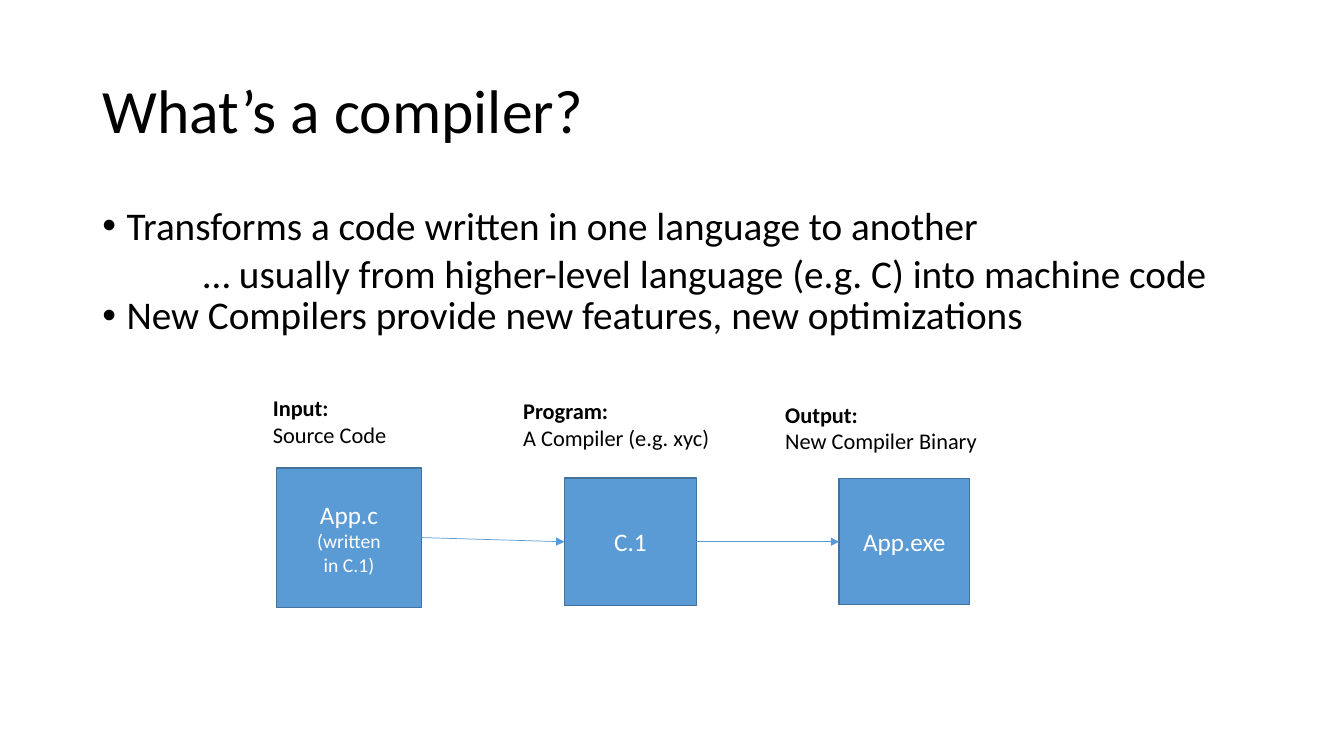
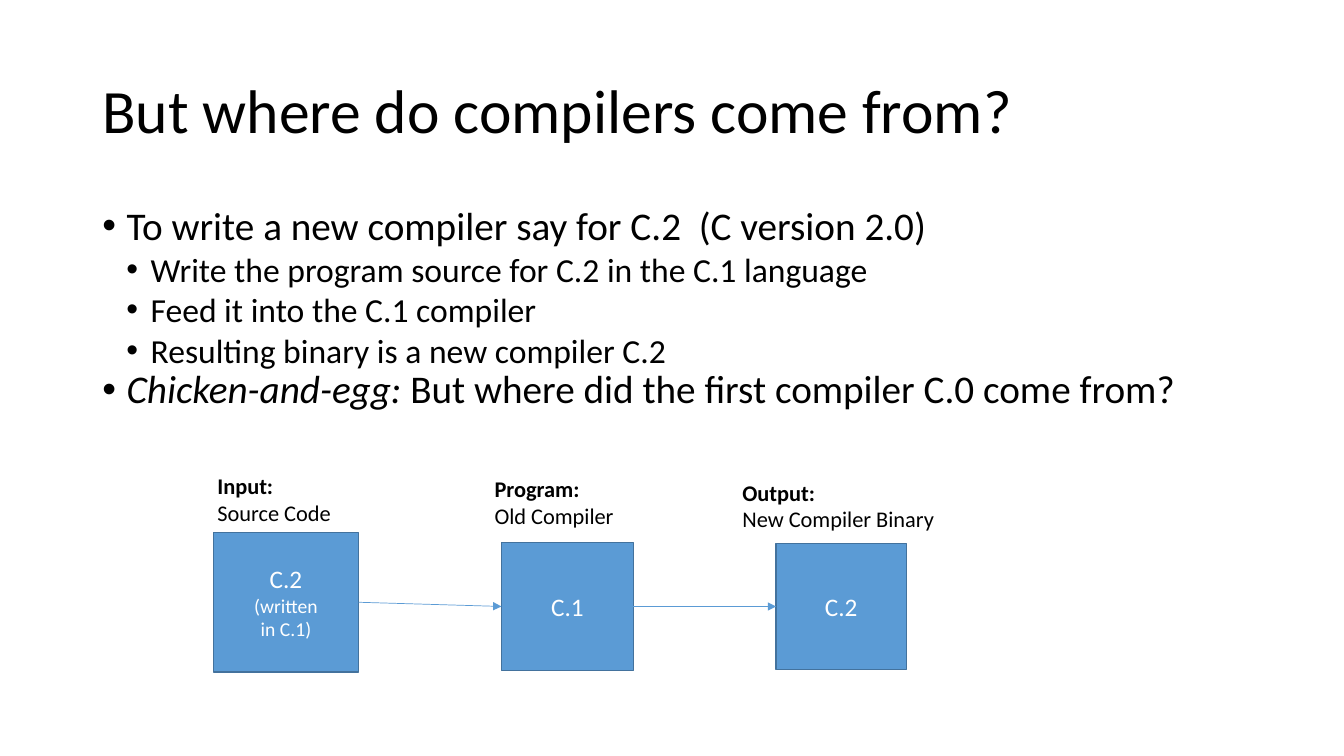
from collections import namedtuple

from lxml.etree import SubElement
from pptx import Presentation
from pptx.dml.color import RGBColor
from pptx.enum.shapes import MSO_CONNECTOR as Connector, MSO_SHAPE as Preset
from pptx.enum.text import MSO_ANCHOR as Anchor, MSO_AUTO_SIZE as AutoSize, PP_ALIGN as Align
from pptx.oxml.ns import qn
from pptx.util import Inches, Pt

SLIDE_WIDTH, SLIDE_HEIGHT = Inches(13.333), Inches(7.5)
COLUMN, ROW = SLIDE_WIDTH / 16, SLIDE_HEIGHT / 9

FONT = "Calibri"
BLACK = RGBColor(0x00, 0x00, 0x00)
WHITE = RGBColor(0xFF, 0xFF, 0xFF)
BLUE = RGBColor(0x5B, 0x9B, 0xD5)
OUTLINE = RGBColor(0x43, 0x72, 0x9D)

# Boxes are left, top, width, height in grid columns and rows.
TITLE_BOX = (1.1, 0.48, 13.8, 1.74)
STAGE_BOXES = [(0, 0, 1.73, 1.66), (3.43, 0.12, 1.57, 1.52), (6.7, 0.13, 1.55, 1.5)]
LABEL_HEIGHT, LABEL_STEP = 0.76, 0.04
BULLET_INDENT = Inches(0.24)

Line = namedtuple("Line", "runs level bullet spacing indent", defaults=(0, True, 0.9, 0))
Stage = namedtuple("Stage", "heading caption box_lines label_left label_width")
Content = namedtuple("Content", "title body_height lines origin label_rise stages")


def grid(left, top, width, height):
    return [round(left * COLUMN), round(top * ROW), round(width * COLUMN), round(height * ROW)]


def add_run(paragraph, text, size, color=BLACK, bold=False, italic=False):
    run = paragraph.add_run()
    run.text = text
    run.font.name, run.font.size = FONT, Pt(size)
    run.font.bold, run.font.italic = bold, italic
    run.font.color.rgb = color


def paragraphs(frame, count):
    """Return the frame's paragraphs, extended to count."""
    while len(frame.paragraphs) < count:
        frame.add_paragraph()
    return frame.paragraphs


def add_frame(slide, box):
    frame = slide.shapes.add_textbox(*grid(*box)).text_frame
    frame.word_wrap = True
    return frame


def add_title(slide, text):
    title = slide.shapes.title
    title.left, title.top, title.width, title.height = grid(*TITLE_BOX)
    frame = title.text_frame
    frame.auto_size, frame.vertical_anchor = AutoSize.NONE, Anchor.MIDDLE
    paragraph = frame.paragraphs[0]
    paragraph.alignment, paragraph.line_spacing = Align.LEFT, 0.9
    add_run(paragraph, text, 44)


def set_indent(paragraph, line):
    properties = paragraph._p.get_or_add_pPr()
    if line.bullet:
        properties.set("marL", str(BULLET_INDENT * (line.level + 1)))
        properties.set("indent", str(-BULLET_INDENT))
        SubElement(properties, qn("a:buFont"), typeface="Arial")
        SubElement(properties, qn("a:buChar"), char="•")
    else:
        properties.set("marL", str(Inches(line.indent)))
        properties.set("indent", "0")


def add_body(slide, box, lines):
    frame = add_frame(slide, box)
    for paragraph, line in zip(paragraphs(frame, len(lines)), lines):
        paragraph.level, paragraph.line_spacing = line.level, line.spacing
        set_indent(paragraph, line)
        for text, italic in line.runs:
            add_run(paragraph, text, 24 if line.level else 28, italic=italic)


def add_stage_box(slide, box, lines):
    shape = slide.shapes.add_shape(Preset.RECTANGLE, *grid(*box))
    shape.shadow.inherit = False
    shape.fill.solid()
    shape.fill.fore_color.rgb = BLUE
    shape.line.color.rgb, shape.line.width = OUTLINE, Pt(1)
    frame = shape.text_frame
    frame.word_wrap, frame.vertical_anchor = True, Anchor.MIDDLE
    for index, (paragraph, text) in enumerate(zip(paragraphs(frame, len(lines)), lines)):
        paragraph.alignment = Align.CENTER
        add_run(paragraph, text, 14 if index else 18, WHITE)
    return shape


def add_label(slide, box, heading, caption):
    first, second = paragraphs(add_frame(slide, box), 2)
    add_run(first, heading, 16, bold=True)
    add_run(second, caption, 16)


def add_arrow(slide, source, target):
    arrow = slide.shapes.add_connector(Connector.STRAIGHT, 0, 0, 0, 0)
    arrow.begin_connect(source, 3)
    arrow.end_connect(target, 1)
    arrow.line.color.rgb, arrow.line.width = BLUE, Pt(0.5)
    SubElement(arrow.line._get_or_add_ln(), qn("a:tailEnd"), type="triangle")
    SubElement(arrow._element.spPr, qn("a:effectLst"))


def add_flow(slide, origin, label_rise, stages):
    """Draw the stages from the origin, each with its label above, joined by arrows."""
    left, top = origin
    boxes = []
    for index, (stage, (x, y, width, height)) in enumerate(zip(stages, STAGE_BOXES)):
        boxes.append(add_stage_box(slide, (left + x, top + y, width, height), stage.box_lines))
        label_top = top - label_rise + index * LABEL_STEP
        label_box = (left + stage.label_left, label_top, stage.label_width, LABEL_HEIGHT)
        add_label(slide, label_box, stage.heading, stage.caption)
    for source, target in zip(boxes, boxes[1:]):
        add_arrow(slide, source, target)


def add_content_slide(presentation, content):
    slide = presentation.slides.add_slide(presentation.slide_layouts.get_by_name("Title Only"))
    add_title(slide, content.title)
    add_body(slide, (1.1, 2.4, 13.8, content.body_height), content.lines)
    add_flow(slide, content.origin, content.label_rise, content.stages)


def plain(text, **options):
    return Line([(text, False)], **options)


def step(text):
    return plain(text, level=1, spacing=1.0)


WRITTEN_IN = ["(written", "in C.1)"]

CONTENTS = [
    Content(
        "What’s a compiler?", 4.01,
        [plain("Transforms a code written in one language to another"),
         plain("… usually from higher-level language (e.g. C) into machine code",
               bullet=False, spacing=1.0, indent=1),
         plain("New Compilers provide new features, new optimizations")],
        (3.29, 5.57), 0.94,
        [Stage("Input:", "Source Code", ["App.c", *WRITTEN_IN], -0.16, 1.91),
         Stage("Program:", "A Compiler (e.g. xyc)", ["C.1"], 2.82, 3.04),
         Stage("Output:", "New Compiler Binary", ["App.exe"], 5.94, 3.04)]),
    Content(
        "But where do compilers come from?", 5.71,
        [plain("To write a new compiler say for C.2  (C version 2.0)"),
         step("Write the program source for C.2 in the C.1 language"),
         step("Feed it into the C.1 compiler"),
         step("Resulting binary is a new compiler C.2"),
         Line([("Chicken-and-egg: ", True),
               ("But where did the first compiler C.0 come from?", False)])],
        (2.54, 6.34), 0.78,
        [Stage("Input:", "Source Code", ["C.2", *WRITTEN_IN], -0.07, 1.91),
         Stage("Program:", "Old Compiler", ["C.1"], 3.23, 1.97),
         Stage("Output:", "New Compiler Binary", ["C.2"], 6.18, 3.04)]),
]


def main():
    presentation = Presentation()
    presentation.slide_width, presentation.slide_height = SLIDE_WIDTH, SLIDE_HEIGHT
    for content in CONTENTS:
        add_content_slide(presentation, content)
    presentation.save("out.pptx")


if __name__ == "__main__":
    main()
